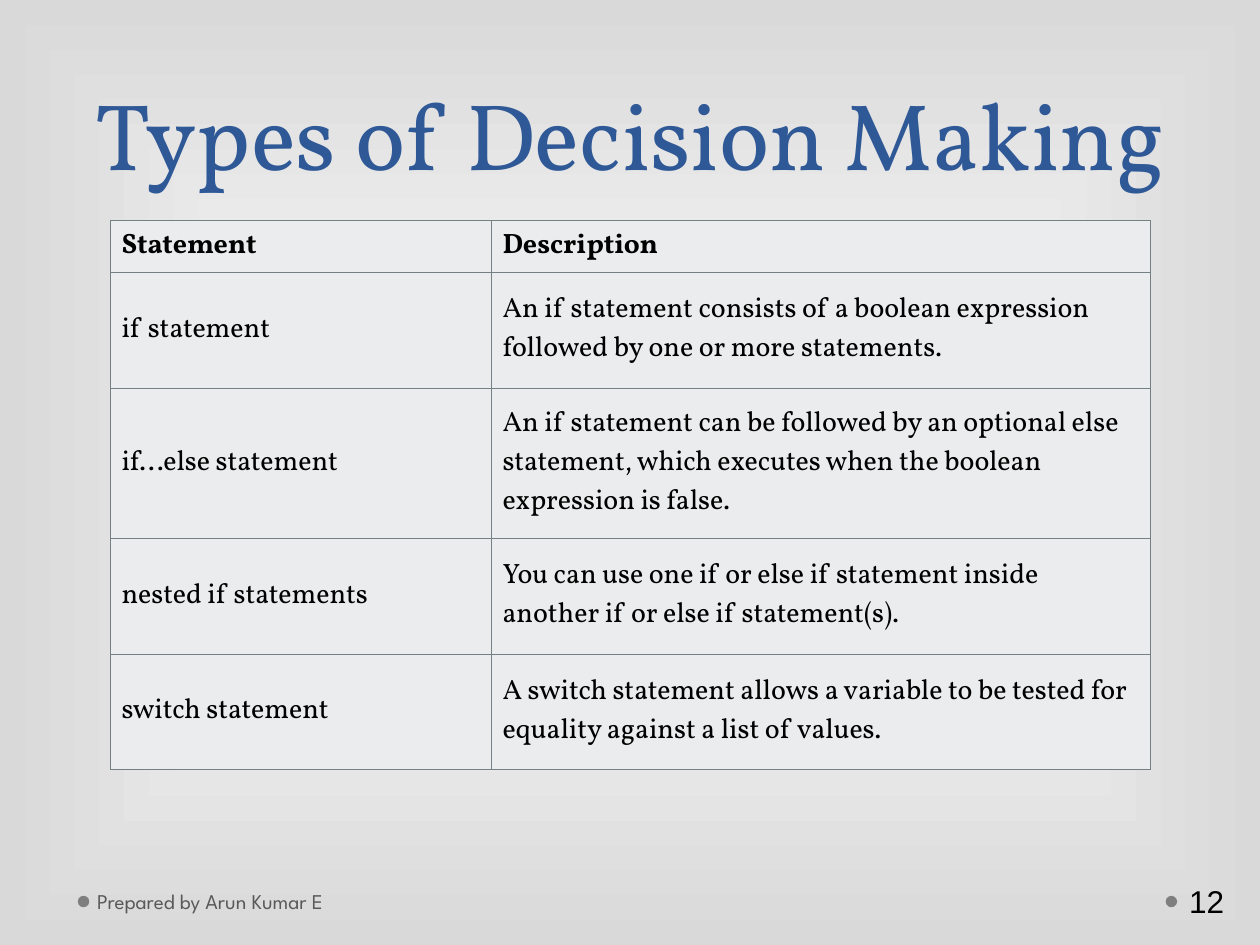
from pptx import Presentation
from pptx.dml.color import RGBColor as RGB
from pptx.enum.shapes import MSO_SHAPE as Kind
from pptx.enum.text import MSO_ANCHOR as Anchor, PP_ALIGN as Align
from pptx.oxml import parse_xml
from pptx.oxml.ns import nsdecls, qn
from pptx.util import Cm, Pt

BLACK = RGB(0, 0, 0)
WHITE = RGB(255, 255, 255)
EDGE = RGB(0xD9, 0xD9, 0xD9)
BLUE = RGB(0x2F, 0x58, 0x97)
GREY = RGB(0x59, 0x59, 0x59)
DOT = RGB(0x7F, 0x7F, 0x7F)
PALE = RGB(0xEB, 0xEC, 0xED)
RULE = RGB(0x75, 0x80, 0x85)
SERIF, SANS, PLAIN = "Vollkorn", "League Spartan", "Arial"

TITLE = "Types of Decision Making"
FOOTER = "Prepared by Arun Kumar E"
NUMBER = "12"
ROWS = [
    ("Statement", "Description"),
    ("if statement",
     "An if statement consists of a boolean expression followed by one or more statements."),
    ("if...else statement",
     "An if statement can be followed by an optional else statement, "
     "which executes when the boolean expression is false."),
    ("nested if statements",
     "You can use one if or else if statement inside another if or else if statement(s)."),
    ("switch statement",
     "A switch statement allows a variable to be tested for equality against a list of values."),
]
WIDTHS = [7.68, 13.28]
HEIGHTS = [0.94, 2.33, 3.03, 2.33, 2.33]
DOTS = [1.57, 23.5]


def write(frame, text, font, size, color, bold=False):
    para = frame.paragraphs[0]
    run = para.add_run()
    run.text = text
    run.font.name = font
    run.font.size = Pt(size)
    run.font.bold = bold
    run.font.color.rgb = color
    return para


def paint(slide):
    fill = slide.background.fill
    fill.gradient()
    for stop, color in zip(fill.gradient_stops, (WHITE, EDGE)):
        stop.color.rgb = color
    grad = next(slide.element.iter(qn("a:gradFill")))
    grad.replace(grad.find(qn("a:lin")), parse_xml(
        f'<a:path {nsdecls("a")} path="rect">'
        '<a:fillToRect l="50000" t="50000" r="50000" b="50000"/></a:path>'))


def border(cell):
    props = cell._tc.get_or_add_tcPr()
    for side in "LRTB":
        props.append(parse_xml(
            f'<a:ln{side} {nsdecls("a")} w="{Pt(0.45)}"><a:solidFill>'
            f'<a:srgbClr val="{RULE}"/></a:solidFill></a:ln{side}>'))


def add_grid(slide):
    grid = slide.shapes.add_table(
        len(ROWS), len(WIDTHS), Cm(2.22), Cm(4.45),
        Cm(sum(WIDTHS)), Cm(sum(HEIGHTS))).table
    for col, width in zip(grid.columns, WIDTHS):
        col.width = Cm(width)
    for r, (row, height) in enumerate(zip(ROWS, HEIGHTS)):
        grid.rows[r].height = Cm(height)
        for c, text in enumerate(row):
            cell = grid.cell(r, c)
            border(cell)
            cell.fill.solid()
            cell.fill.fore_color.rgb = PALE
            cell.vertical_anchor = Anchor.MIDDLE
            cell.margin_left = cell.margin_right = Cm(0.23)
            write(cell.text_frame, text, SERIF, 16, BLACK, bold=r == 0)


def add_note(slide, left, width, inset, anchor, *style):
    frame = slide.shapes.add_textbox(Cm(left), Cm(17.65), Cm(width), Cm(1.02)).text_frame
    frame.word_wrap = True
    frame.margin_left = Cm(inset)
    frame.vertical_anchor = anchor
    write(frame, *style)


def main():
    deck = Presentation()
    deck.slide_width, deck.slide_height = Cm(25.4), Cm(19.05)
    slide = deck.slides.add_slide(deck.slide_layouts[5])
    paint(slide)

    for left in DOTS:
        dot = slide.shapes.add_shape(Kind.OVAL, Cm(left), Cm(18.06), Cm(0.23), Cm(0.23))
        dot.shadow.inherit = False
        dot.fill.solid()
        dot.fill.fore_color.rgb = DOT
        dot.line.fill.background()

    title = slide.shapes.title
    title.left, title.top, title.width, title.height = Cm(1.27), Cm(0), Cm(22.86), Cm(3.94)
    title.text_frame.vertical_anchor = Anchor.BOTTOM
    para = write(title.text_frame, TITLE, SERIF, 54, BLUE)
    para.alignment = Align.CENTER
    para.line_spacing = Pt(58)

    add_grid(slide)
    add_note(slide, 1.83, 7.9, 0.13, Anchor.MIDDLE, FOOTER, SANS, 12, GREY)
    add_note(slide, 23.72, 1.55, 0.25, Anchor.TOP, NUMBER, PLAIN, 18, BLACK)
    deck.save("out.pptx")


if __name__ == "__main__":
    main()
